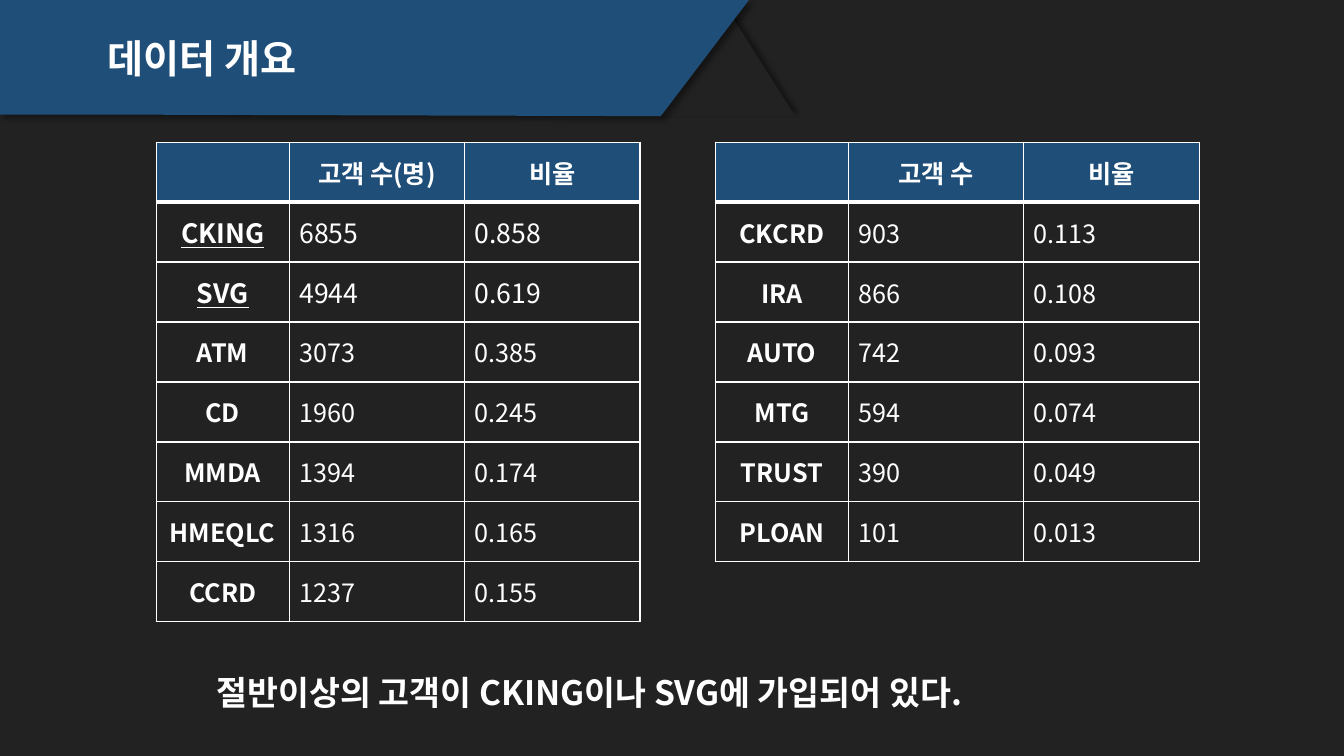
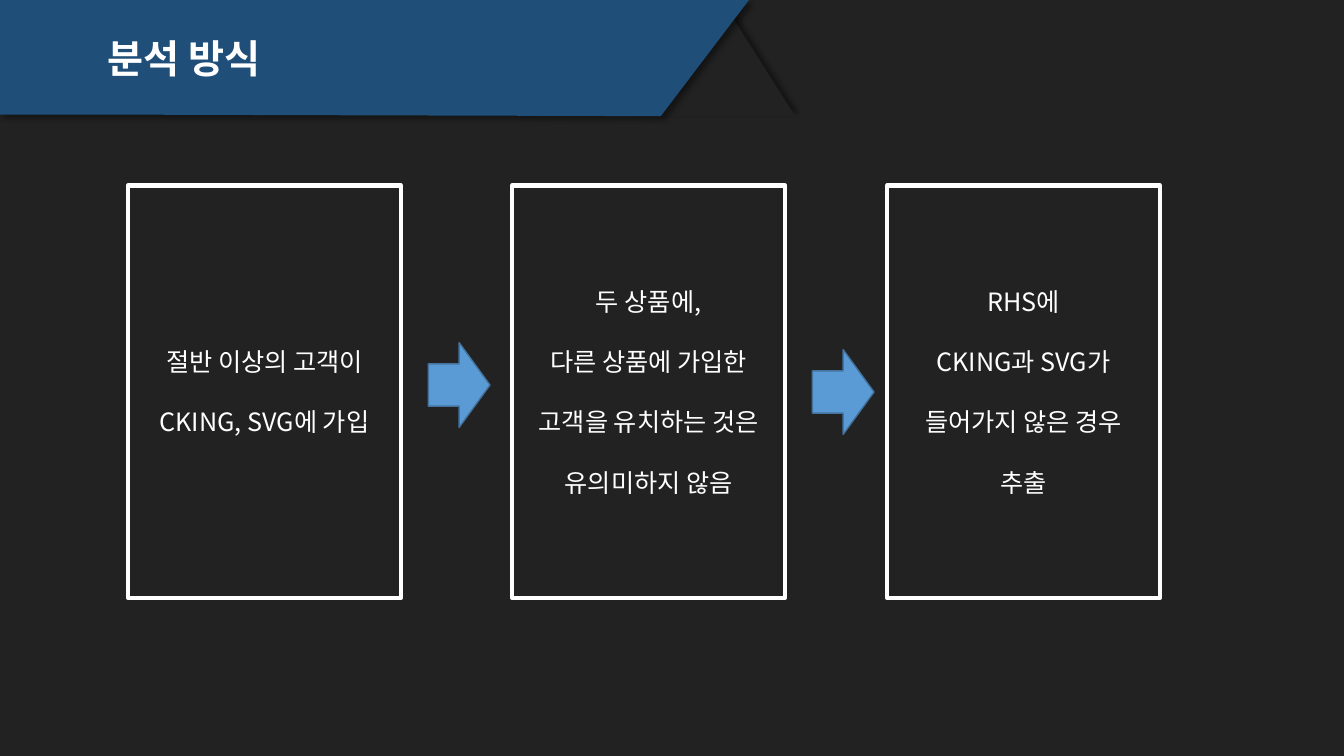
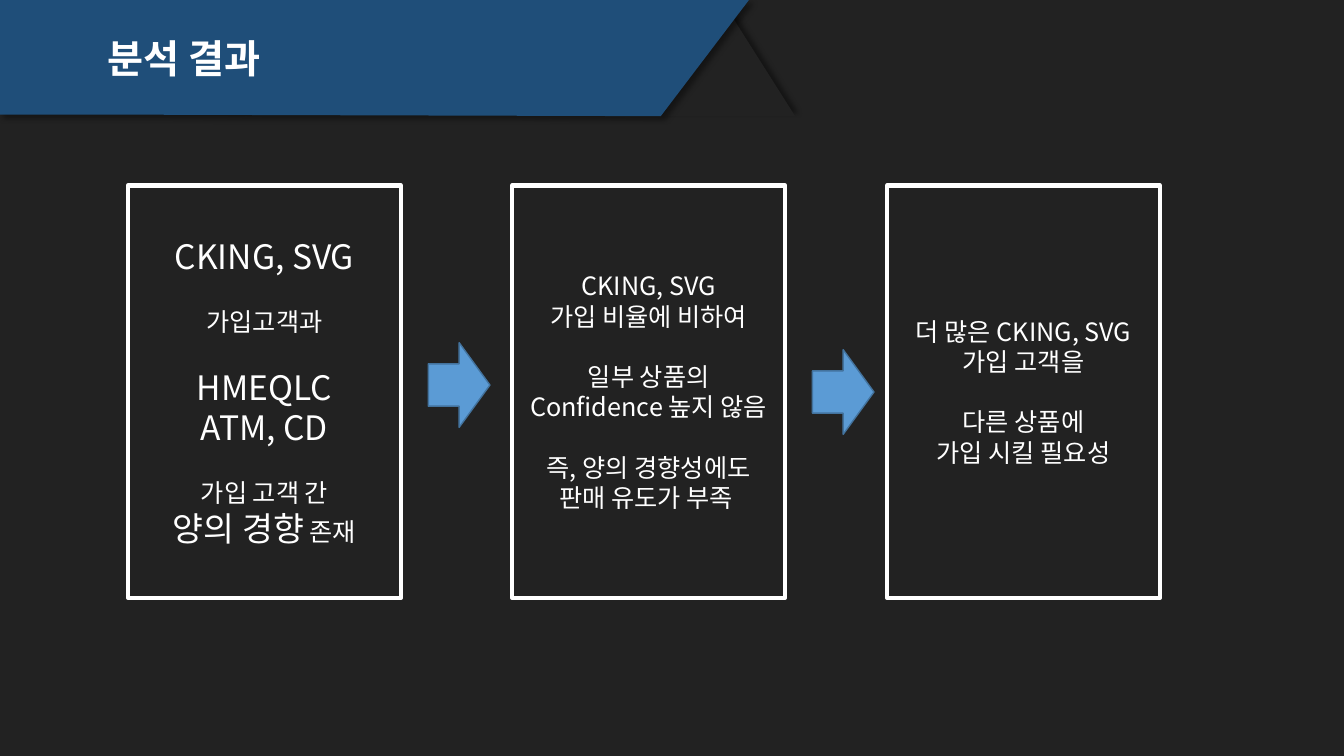
from lxml.etree import SubElement
from pptx import Presentation
from pptx.dml.color import RGBColor
from pptx.enum.shapes import MSO_SHAPE as Shape
from pptx.enum.text import MSO_ANCHOR as Anchor, MSO_AUTO_SIZE as AutoSize, PP_ALIGN as Align
from pptx.oxml.ns import qn
from pptx.util import Pt

FONT = "Noto Sans CJK KR"
COLORS = {
    "background": "222222",
    "band": "1F4E79",
    "white": "FFFFFF",
    "shadow": "000000",
    "arrow": "5B9BD5",
    "arrow_line": "43739E",
}


def write(paragraph, text, size=18, bold=False, underline=False, align=Align.LEFT):
    """Add one white run to the paragraph."""
    paragraph.alignment = align
    run = paragraph.add_run()
    run.text = text
    font = run.font
    font.name, font.size, font.bold, font.underline = FONT, Pt(size), bold, underline
    font.color.rgb = RGBColor.from_string(COLORS["white"])
    SubElement(font._element, qn("a:ea"), typeface=FONT)


def style(shape, fill=None, line=None, line_width=1, shadow_angle=None):
    """Set fill, outline and shadow; whatever is None is left off."""
    shape.shadow.inherit = False
    for target, color in ((shape.fill, fill), (shape.line.fill, line)):
        if color:
            target.solid()
            target.fore_color.rgb = RGBColor.from_string(COLORS[color])
        else:
            target.background()
    if line:
        shape.line.width = Pt(line_width)
    if shadow_angle is not None:
        effects = shape._element.spPr.find(qn("a:effectLst"))
        shadow = SubElement(effects, qn("a:outerShdw"), blurRad=str(Pt(4)), dist=str(Pt(3)),
                            dir=str(shadow_angle * 60000), algn="ctr", rotWithShape="0")
        color = SubElement(shadow, qn("a:srgbClr"), val=COLORS["shadow"])
        SubElement(color, qn("a:alpha"), val="40000")


presentation = Presentation()
presentation.slide_width, presentation.slide_height = Pt(960), Pt(540)
background = presentation.slide_master.background.fill
background.solid()
background.fore_color.rgb = RGBColor.from_string(COLORS["background"])

layout = presentation.slide_layouts[5]
layout_title = layout.placeholders[0]
layout_title.left, layout_title.top = Pt(69.8), Pt(20.9)
layout_title.width, layout_title.height = Pt(380), Pt(41)

# Slides with their header band and title
slides = []
for title_text in ("데이터 개요", "분석 방식", "분석 결과"):
    slide = presentation.slides.add_slide(layout)
    fold = slide.shapes.add_shape(Shape.ISOSCELES_TRIANGLE, Pt(473), Pt(8), Pt(95), Pt(75))
    style(fold, fill="background", shadow_angle=315)
    outline = slide.shapes.build_freeform(0, 0, scale=Pt(1))
    outline.add_line_segments([(535, 0), (472, 83), (112, 82), (0, 82)])
    style(outline.convert_to_shape(), fill="band", shadow_angle=45)

    title = slide.shapes.title
    title.element.getparent().append(title.element)  # in front of the band
    title.text_frame.auto_size = AutoSize.NONE
    title.text_frame.vertical_anchor = Anchor.MIDDLE
    write(title.text_frame.paragraphs[0], title_text, size=28, bold=True)
    slides.append(slide)
overview, method, result = slides

# Overview: customers by product
ROW_HEIGHT = 42.84
COLUMN_WIDTHS = (95, 125.3, 125.3)
HIGHLIGHTED = ("CKING", "SVG")
product_tables = [
    (111.6, [
        ("", "고객 수(명)", "비율"),
        ("CKING", "6855", "0.858"),
        ("SVG", "4944", "0.619"),
        ("ATM", "3073", "0.385"),
        ("CD", "1960", "0.245"),
        ("MMDA", "1394", "0.174"),
        ("HMEQLC", "1316", "0.165"),
        ("CCRD", "1237", "0.155"),
    ]),
    (511, [
        ("", "고객 수", "비율"),
        ("CKCRD", "903", "0.113"),
        ("IRA", "866", "0.108"),
        ("AUTO", "742", "0.093"),
        ("MTG", "594", "0.074"),
        ("TRUST", "390", "0.049"),
        ("PLOAN", "101", "0.013"),
    ]),
]
for left, rows in product_tables:
    table = overview.shapes.add_table(
        len(rows), len(COLUMN_WIDTHS), Pt(left), Pt(101.5),
        Pt(sum(COLUMN_WIDTHS)), Pt(ROW_HEIGHT * len(rows))).table
    table.first_row = table.horz_banding = False
    for column, width in zip(table.columns, COLUMN_WIDTHS):
        column.width = Pt(width)
    for row_index, row in enumerate(rows):
        table.rows[row_index].height = Pt(ROW_HEIGHT)
        is_header = row_index == 0
        highlighted = row[0] in HIGHLIGHTED
        for column_index, text in enumerate(row):
            cell = table.cell(row_index, column_index)
            cell.vertical_anchor = Anchor.MIDDLE
            is_label = is_header or column_index == 0
            if text:
                write(cell.text_frame.paragraphs[0], text, size=19 if highlighted else 18,
                      bold=is_label, underline=highlighted and is_label,
                      align=Align.CENTER if is_label else Align.LEFT)
            thick_side = {0: "B", 1: "T"}.get(row_index)
            for side in "LRTB":
                border = SubElement(cell._tc.get_or_add_tcPr(), qn(f"a:ln{side}"),
                                    w=str(Pt(3 if side == thick_side else 1)))
                border_fill = SubElement(border, qn("a:solidFill"))
                SubElement(border_fill, qn("a:srgbClr"), val=COLORS["white"])
            if is_header:
                cell.fill.solid()
                cell.fill.fore_color.rgb = RGBColor.from_string(COLORS["band"])
            else:
                cell.fill.background()

conclusion = overview.shapes.add_textbox(Pt(147.6), Pt(476.6), Pt(602), Pt(36)).text_frame
conclusion.word_wrap = True
write(conclusion.paragraphs[0], "절반이상의 고객이 CKING이나 SVG에 가입되어 있다.", size=24, bold=True)

# Method and result: three boxes joined by arrows.
# A box is a list of groups set apart by a gap, a group a list of lines,
# a line a list of (text, size) runs.
BOX_LEFTS = (91.4, 365.8, 633.6)
ARROWS = ((306, 244.8), (580.3, 249.8))
GROUP_GAP = 21.6
flows = [
    (method, [
        [[[("절반 이상의 고객이", 18)]], [[("CKING, SVG에 가입", 18)]]],
        [[[("두 상품에,", 18)]], [[("다른 상품에 가입한", 18)]],
         [[("고객을 유치하는 것은", 18)]], [[("유의미하지 않음", 18)]]],
        [[[("RHS에", 18)]], [[("CKING과 SVG가", 18)]],
         [[("들어가지 않은 경우", 18)]], [[("추출", 18)]]],
    ]),
    (result, [
        [[[("CKING, SVG", 24)]],
         [[("가입고객과", 18)]],
         [[("HMEQLC", 24)], [("ATM, CD", 24)]],
         [[("가입 고객 간", 18)], [("양의 경향", 24), (" 존재", 18)]]],
        [[[("CKING, SVG", 18)], [("가입 비율에 비하여", 18)]],
         [[("일부 상품의", 18)], [("Confidence 높지 않음", 18)]],
         [[("즉, 양의 경향성에도", 18)], [("판매 유도가 부족 ", 18)]]],
        [[[("더 많은 CKING, SVG 가입 고객을", 18)]],
         [[("다른 상품에", 18)], [("가입 시킬 필요성", 18)]]],
    ]),
]
for slide, boxes in flows:
    for left, groups in zip(BOX_LEFTS, boxes):
        box = slide.shapes.add_shape(Shape.RECTANGLE, Pt(left), Pt(132.5), Pt(195), Pt(294.5))
        style(box, line="white", line_width=3)
        frame = box.text_frame
        frame.word_wrap = True
        frame.vertical_anchor = Anchor.MIDDLE
        paragraph = None
        for group in groups:
            for line_index, line in enumerate(group):
                is_first = paragraph is None
                paragraph = frame.paragraphs[0] if is_first else frame.add_paragraph()
                if line_index == 0 and not is_first:
                    paragraph.space_before = Pt(GROUP_GAP)
                for text, size in line:
                    write(paragraph, text, size=size, align=Align.CENTER)
    for left, top in ARROWS:
        arrow = slide.shapes.add_shape(Shape.RIGHT_ARROW, Pt(left), Pt(top), Pt(44), Pt(60.5))
        style(arrow, fill="arrow", line="arrow_line")

presentation.save("out.pptx")
